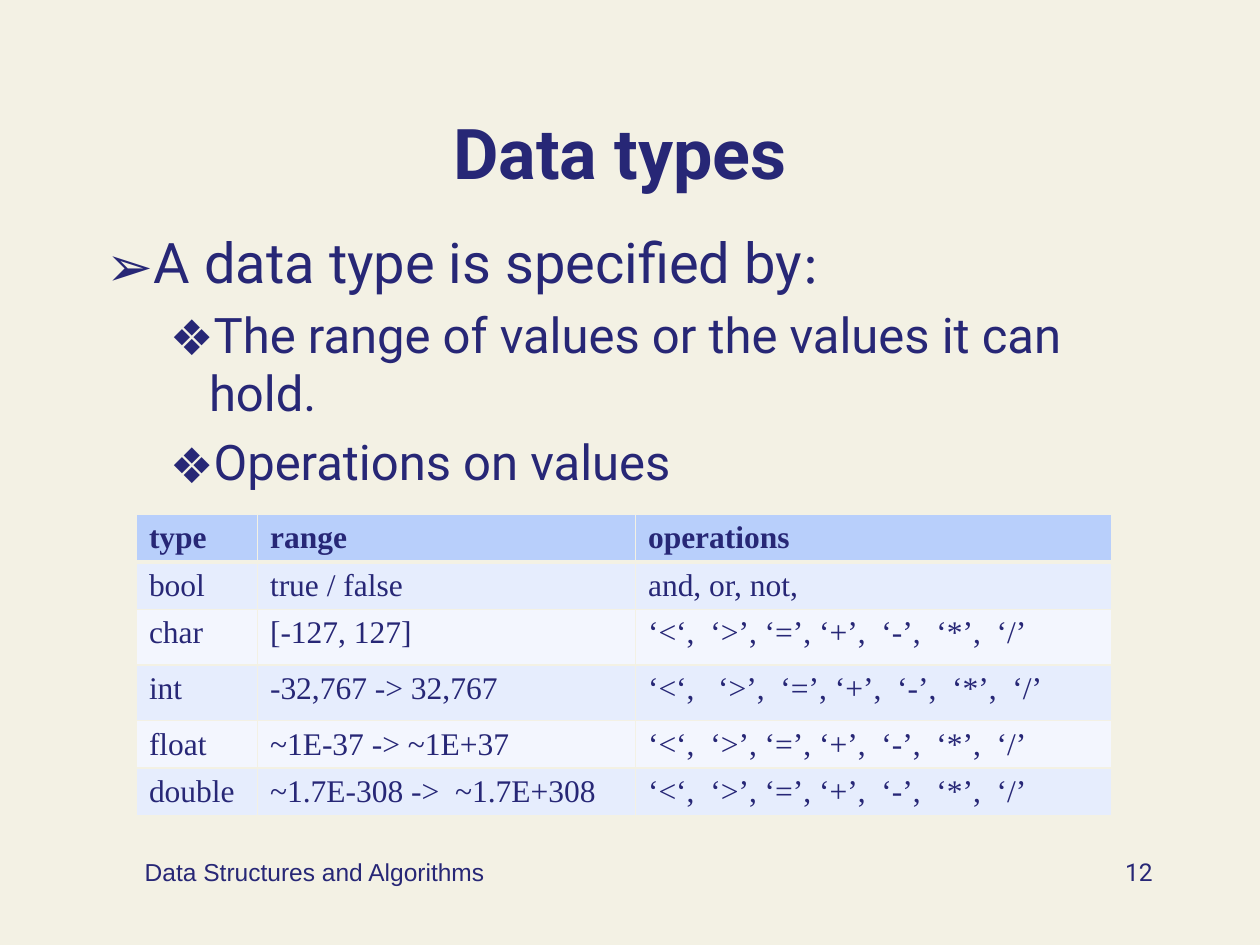
from lxml.etree import SubElement
from pptx import Presentation
from pptx.dml.color import RGBColor
from pptx.enum.text import MSO_ANCHOR, MSO_AUTO_SIZE, PP_ALIGN
from pptx.oxml.ns import qn
from pptx.util import Cm, Pt

NAVY = RGBColor(0x27, 0x27, 0x76)
CREAM = RGBColor(0xF3, 0xF1, 0xE4)
HEADER = RGBColor(0xB8, 0xCF, 0xFB)
BAND_DARK = RGBColor(0xE6, 0xED, 0xFD)
BAND_LIGHT = RGBColor(0xF3, 0xF6, 0xFE)
SERIF = "Times New Roman"


def add_text(p, text, size=18, font="Roboto", bold=False, align=None):
    """Append one formatted run to the paragraph."""
    r = p.add_run()
    r.text = text
    r.font.size = Pt(size)
    r.font.name = font
    r.font.bold = bold
    r.font.color.rgb = NAVY
    if align is not None:
        p.alignment = align


def add_color_xml(parent, tag, color):
    SubElement(SubElement(parent, qn(tag)), qn("a:srgbClr"), val=str(color))


prs = Presentation()
prs.slide_width, prs.slide_height = Cm(25.4), Cm(19.05)
s = prs.slides.add_slide(prs.slide_layouts[1])
s.background.fill.solid()
s.background.fill.fore_color.rgb = CREAM

# Title
title = s.shapes.title
title.left, title.top, title.width, title.height = Cm(1.07), Cm(0.84), Cm(22.86), Cm(3.18)
tf = title.text_frame
tf.auto_size = MSO_AUTO_SIZE.NONE
tf.vertical_anchor = MSO_ANCHOR.BOTTOM
add_text(tf.paragraphs[0], "Data types", size=40, bold=True, align=PP_ALIGN.CENTER)

# Bulleted list: level, bullet, left margin, hanging indent, space before, runs
body = s.placeholders[1]
body.left, body.top, body.width, body.height = Cm(1.9), Cm(4.45), Cm(21.59), Cm(13.13)
tf = body.text_frame
tf.auto_size = MSO_AUTO_SIZE.NONE
MAIN = (0, "➢", Cm(0.95), Cm(0.95), 0, 32)
SUB = (1, "❖", Cm(2.06), Cm(0.79), 5.6, 28)
items = [
    (MAIN, [("A data type is specified by", "Roboto"), (":", SERIF)]),
    (SUB, [("The range of values or the values it can hold.", "Roboto")]),
    (SUB, [("Operations on values", "Roboto")]),
]
for i, ((level, bullet, margin, hanging, before, size), runs) in enumerate(items):
    p = tf.add_paragraph() if i else tf.paragraphs[0]
    p.level = level
    p.space_before = Pt(before)
    for text, font in runs:
        add_text(p, text, size=size, font=font)
    pPr = p._p.get_or_add_pPr()
    pPr.set("marL", str(margin))
    pPr.set("indent", str(-hanging))
    add_color_xml(pPr, "a:buClr", NAVY)
    SubElement(pPr, qn("a:buFont"), typeface="Noto Sans Symbols")
    SubElement(pPr, qn("a:buChar"), char=bullet)

# Table of types
OPERATORS = "‘<‘,  ‘>’, ‘=’, ‘+’,  ‘-’,  ‘*’,  ‘/’"
rows = [
    ("type", "range", "operations"),
    ("bool", "true / false", "and, or, not,"),
    ("char", "[-127, 127]", OPERATORS),
    ("int", "-32,767 -> 32,767", "‘<‘,   ‘>’,  ‘=’, ‘+’,  ‘-’,  ‘*’,  ‘/’"),
    ("float", "~1E-37 -> ~1E+37", OPERATORS),
    ("double", "~1.7E-308 ->  ~1.7E+308", OPERATORS),
]
col_widths = [2.44, 7.62, 9.6]
row_heights = [0.95, 0.95, 1.12, 1.12, 0.95, 0.95]
table = s.shapes.add_table(len(rows), len(col_widths), Cm(2.75), Cm(10.37),
                           Cm(sum(col_widths)), Cm(sum(row_heights))).table
for col, width in zip(table.columns, col_widths):
    col.width = Cm(width)
for i, (values, height) in enumerate(zip(rows, row_heights)):
    table.rows[i].height = Cm(height)
    for j, text in enumerate(values):
        cell = table.cell(i, j)
        add_text(cell.text_frame.paragraphs[0], text, font=SERIF, bold=i == 0)
        tcPr = cell._tc.get_or_add_tcPr()
        for side in "LRTB":
            thick = (i == 0 and side == "B") or (i == 1 and side == "T")
            ln = SubElement(tcPr, qn(f"a:ln{side}"), w=str(Pt(3 if thick else 1)))
            add_color_xml(ln, "a:solidFill", CREAM)
        cell.fill.solid()
        cell.fill.fore_color.rgb = HEADER if i == 0 else BAND_DARK if i % 2 else BAND_LIGHT

# Footer and slide number
for text, left, width, font, align in [
    ("Data Structures and Algorithms", 1.9, 8.89, "Arial", PP_ALIGN.CENTER),
    ("12", 18.2, 5.29, "Roboto", PP_ALIGN.RIGHT),
]:
    tf = s.shapes.add_textbox(Cm(left), Cm(17.15), Cm(width), Cm(1.27)).text_frame
    tf.word_wrap = True
    add_text(tf.paragraphs[0], text, size=14, font=font, align=align)

prs.save("out.pptx")
